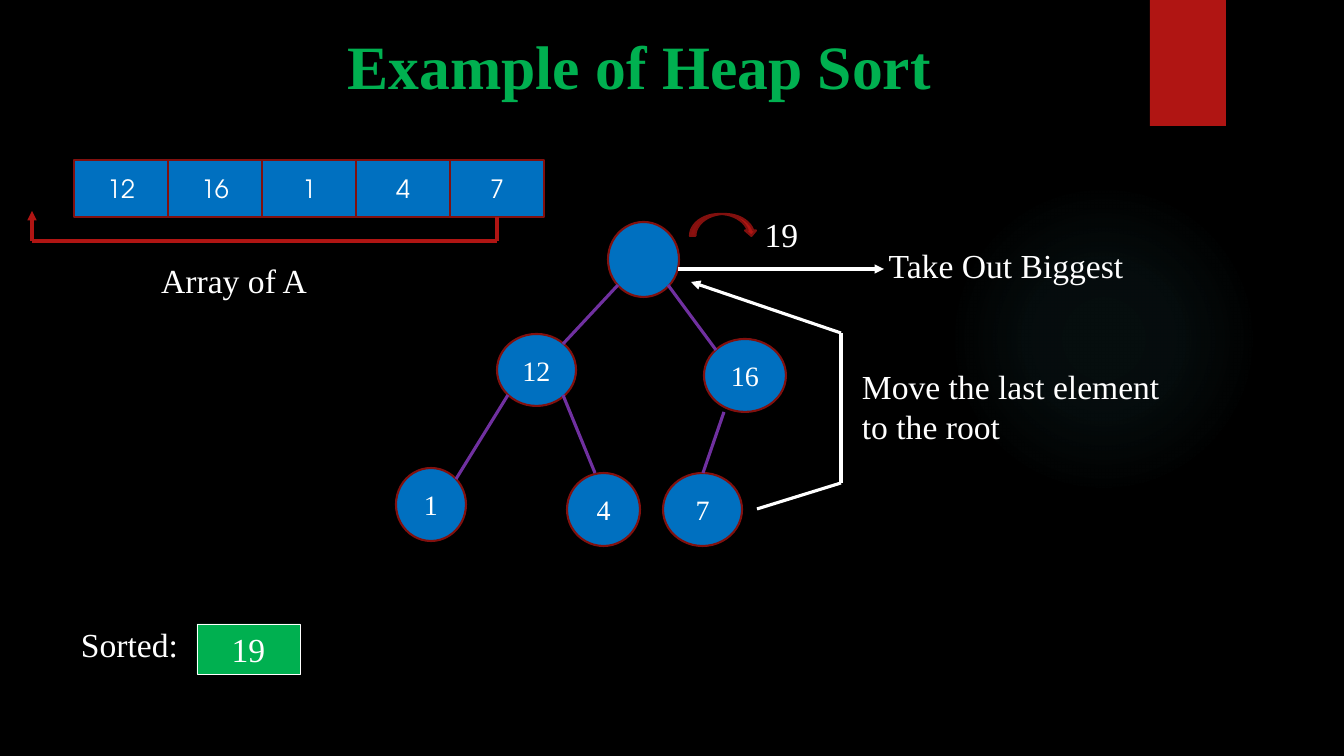
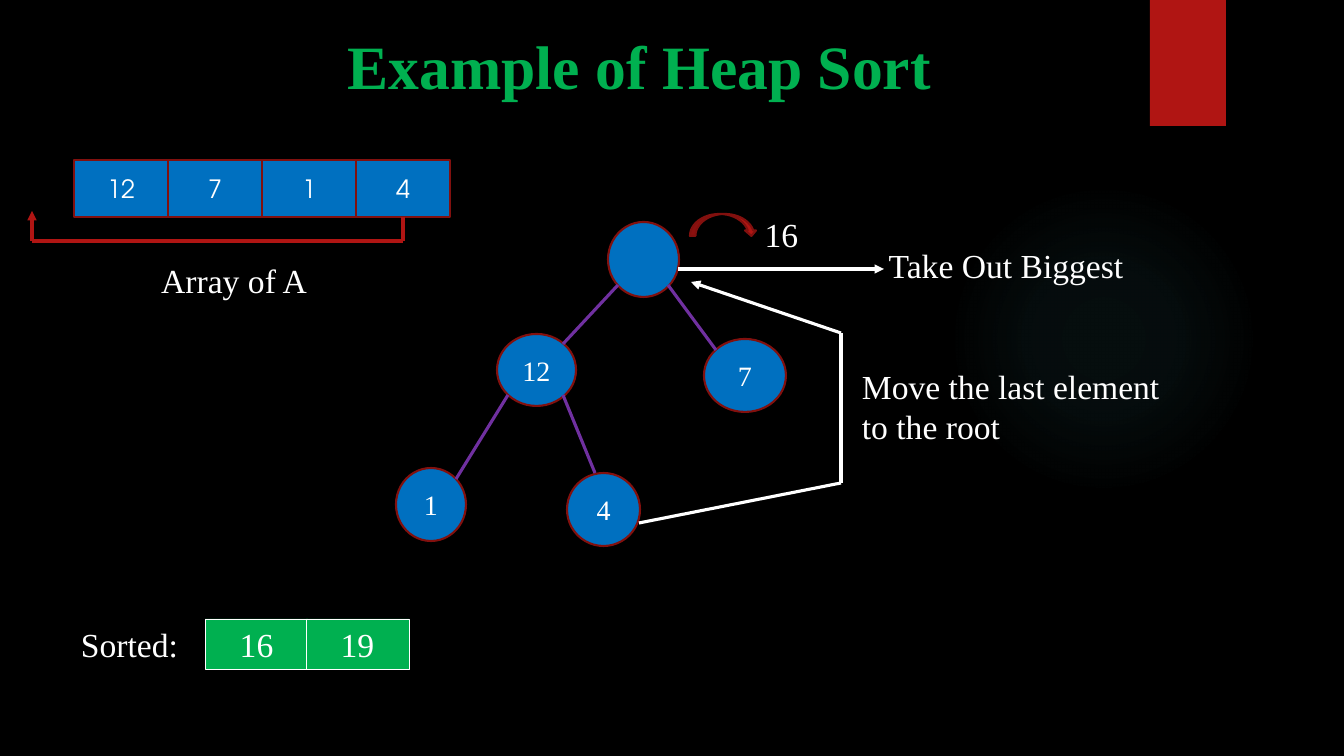
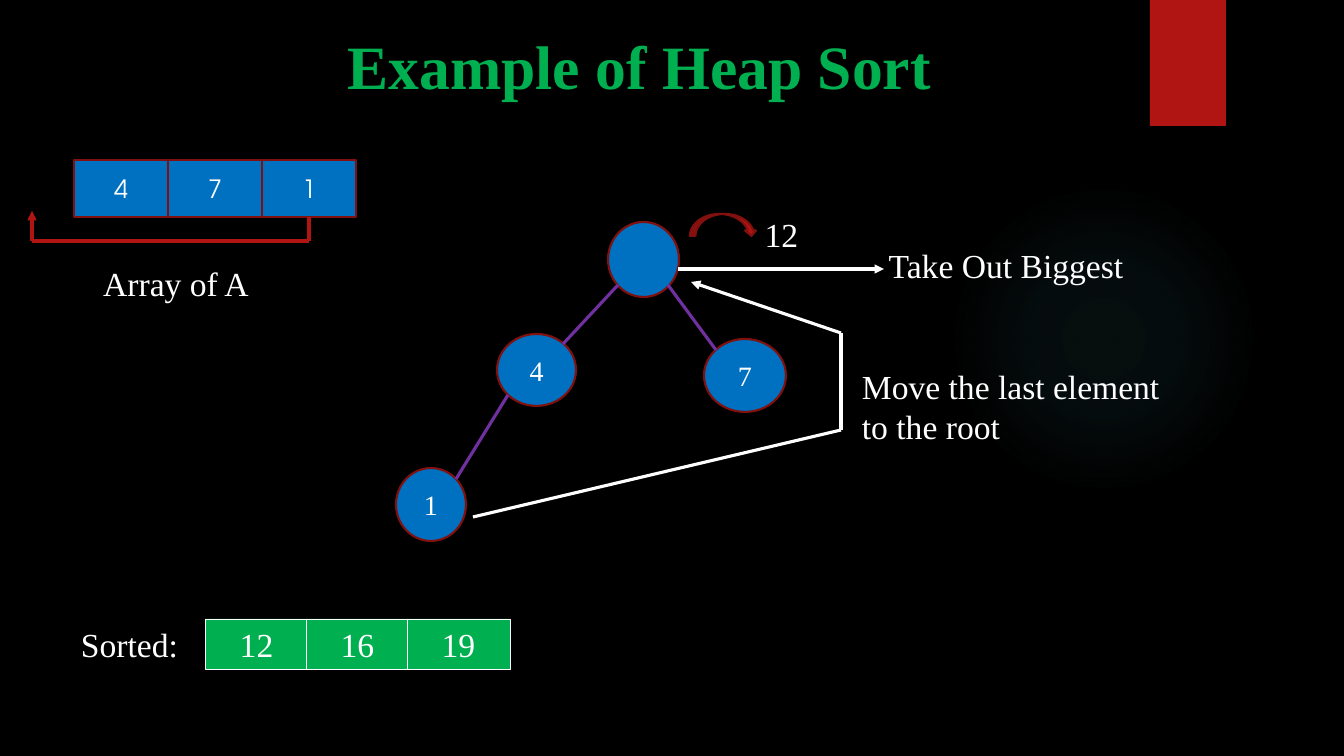
from pptx import Presentation
from pptx.dml.color import RGBColor
from pptx.enum.shapes import MSO_CONNECTOR, MSO_SHAPE
from pptx.enum.text import MSO_ANCHOR, PP_ALIGN
from pptx.oxml import parse_xml
from pptx.oxml.ns import nsdecls, qn
from pptx.util import Pt

WIDTH, HEIGHT = 1344, 756
EMU_PER_PX = 12192000 / WIDTH
SERIF, SANS = "Times New Roman", "TeX Gyre Adventor"
TITLE_ONLY = 5

COLOURS = {
    "background": "000000",
    "text": "FFFFFF",
    "green": "00B050",
    "blue": "0070C0",
    "red": "B01513",
    "outline": "82100E",
    "link": "7030A0",
    "glow": "50B9C1",
}
GLOW_STOPS = ((0, 7), (36, 6), (69, 0))  # position and opacity in percent

# Root first, then level by level
NODES = [
    (608, 222, 71, 75),
    (497, 334, 79, 72),
    (704, 339, 82, 73),
    (396, 468, 70, 73),
    (567, 473, 73, 73),
    (663, 473, 79, 73),
]
# The link from each node below the root to its parent
LINKS = [
    [(563, 344), (618, 285)],
    [(716, 350), (668, 285)],
    [(456, 479), (508, 395)],
    [(595, 473), (563, 395)],
    [(703, 473), (724, 412)],
]
STEPS = [
    {"heap": ["12", "16", "1", "4", "7"], "sorted": ["19"],
     "sorted_at": (197, 624), "caption_at": (149, 255),
     "last_node": (757, 509), "bend": 483},
    {"heap": ["12", "7", "1", "4"], "sorted": ["16", "19"],
     "sorted_at": (205, 619), "caption_at": (149, 255),
     "last_node": (639, 523), "bend": 483},
    {"heap": ["4", "7", "1"], "sorted": ["12", "16", "19"],
     "sorted_at": (205, 619), "caption_at": (91, 258),
     "last_node": (473, 517), "bend": 430},
]


def px(*lengths):
    return [round(length * EMU_PER_PX) for length in lengths]


def rgb(name):
    return RGBColor.from_string(COLOURS[name])


class HeapDeck:
    """Holds the shared style and the slide being drawn."""

    def __init__(self):
        self.deck = Presentation()
        self.deck.slide_width, self.deck.slide_height = px(WIDTH, HEIGHT)
        self.master = self.deck.slide_master
        fill = self.master.background.fill
        fill.solid()
        fill.fore_color.rgb = rgb("background")
        self.layout = self.deck.slide_layouts[TITLE_ONLY]
        self.page = None

    def add_page(self, title):
        first = self.page is None
        self.page = self.deck.slides.add_slide(self.layout)
        if first:
            self.decorate_master()
        box = self.page.shapes.title
        box.left, box.top, box.width, box.height = px(118, 18, 1043, 93)
        self.set_text(box, title, 44, colour="green", bold=True)

    def decorate_master(self):
        """Draws the glow and the band, then moves them to the master."""
        glow = self.shape(MSO_SHAPE.OVAL, (949, 184, 310, 310))
        stops = "".join(
            f'<a:gs pos="{position * 1000}"><a:srgbClr val="{COLOURS["glow"]}">'
            f'<a:alpha val="{opacity * 1000}"/></a:srgbClr></a:gs>'
            for position, opacity in GLOW_STOPS)
        gradient = parse_xml(
            f'<a:gradFill {nsdecls("a")}><a:gsLst>{stops}</a:gsLst><a:path path="circle">'
            '<a:fillToRect l="50000" t="50000" r="50000" b="50000"/></a:path></a:gradFill>')
        properties = glow.element.spPr
        properties.replace(properties.find(qn("a:noFill")), gradient)
        band = self.shape(MSO_SHAPE.RECTANGLE, (1150, 0, 76, 126), "red")
        for number, shape in enumerate((glow, band), 101):
            shape.element.nvSpPr.cNvPr.id = number
            self.master.shapes.element.append(shape.element)

    def set_text(self, box, text, size, font=SERIF, colour="text", bold=False,
                 align=PP_ALIGN.CENTER):
        frame = box.text_frame
        frame.text = text
        frame.word_wrap = True
        frame.vertical_anchor = MSO_ANCHOR.MIDDLE
        for para in frame.paragraphs:
            para.alignment = align
            for span in para.runs:
                span.font.name = font
                span.font.size = Pt(size)
                span.font.bold = bold
                span.font.color.rgb = rgb(colour)

    def shape(self, kind, area, fill=None, line=None, weight=1.5):
        shape = self.page.shapes.add_shape(kind, *px(*area))
        shape.shadow.inherit = False
        if fill:
            shape.fill.solid()
            shape.fill.fore_color.rgb = rgb(fill)
        else:
            shape.fill.background()
        if line:
            shape.line.color.rgb = rgb(line)
            shape.line.width = Pt(weight)
        else:
            shape.line.fill.background()
        return shape

    def label(self, text, area, align=PP_ALIGN.CENTER):
        box = self.page.shapes.add_textbox(*px(*area))
        self.set_text(box, text, 24, align=align)

    def route(self, points, colour, arrow=False, start=None):
        """Joins points with straight lines, from the bottom of start if given."""
        for begin, end in zip(points, points[1:]):
            connector = self.page.shapes.add_connector(
                MSO_CONNECTOR.STRAIGHT, *px(*begin, *end))
            connector.line.color.rgb = rgb(colour)
            connector.line.width = Pt(2.25)
            properties = connector.element.spPr
            properties.append(parse_xml(f'<a:effectLst {nsdecls("a")}/>'))
            if start is not None and begin == points[0]:
                connector.begin_connect(start, 2)
            if arrow and end == points[-1]:
                properties.find(qn("a:ln")).append(
                    parse_xml(f'<a:tailEnd {nsdecls("a")} type="triangle"/>'))

    def array(self, values, caption_at):
        left, top, width, height = 74, 160, 94, 57
        for index, value in enumerate(values):
            cell = self.shape(MSO_SHAPE.RECTANGLE,
                              (left + index * width, top, width, height), "blue", "outline")
            self.set_text(cell, value, 18, SANS)
        middle = left + len(values) * width - width // 2
        self.route([(middle, top + height), (middle, 241), (32, 241), (32, 211)],
                   "red", arrow=True, start=cell)
        self.label("Array of A", (*caption_at, 170, 50))

    def tree(self, values):
        for value, area in zip(["", *values], NODES):
            node = self.shape(MSO_SHAPE.OVAL, area, "blue", "outline")
            if value:
                self.set_text(node, value, 20)
        for _, link in zip(values, LINKS):
            self.route(link, "link")

    def removal(self, biggest, last_node, bend):
        """Shows the root leaving and the last node taking its place."""
        self.shape(MSO_SHAPE.CURVED_DOWN_ARROW, (690, 214, 67, 22), "red", "outline")
        self.label(biggest, (741, 211, 81, 46))
        self.route([(678, 269), (884, 269)], "text", arrow=True)
        self.label("Take Out Biggest", (851, 242, 310, 47))
        self.route([last_node, (841, bend), (841, 333), (691, 282)], "text", arrow=True)
        self.label("Move the last element\nto the root", (852, 360, 340, 92), PP_ALIGN.LEFT)

    def sorted_row(self, values, corner):
        self.label("Sorted:", (71, 619, 126, 50), PP_ALIGN.LEFT)
        left, top = corner
        for index, value in enumerate(values):
            cell = self.shape(MSO_SHAPE.RECTANGLE, (left + index * 101, top, 103, 50),
                              "green", "text", 0.25)
            self.set_text(cell, value, 24)


def main():
    show = HeapDeck()
    for step in STEPS:
        show.add_page("Example of Heap Sort")
        show.array(step["heap"], step["caption_at"])
        show.tree(step["heap"])
        show.removal(step["sorted"][0], step["last_node"], step["bend"])
        show.sorted_row(step["sorted"], step["sorted_at"])
    show.deck.save("out.pptx")


if __name__ == "__main__":
    main()
